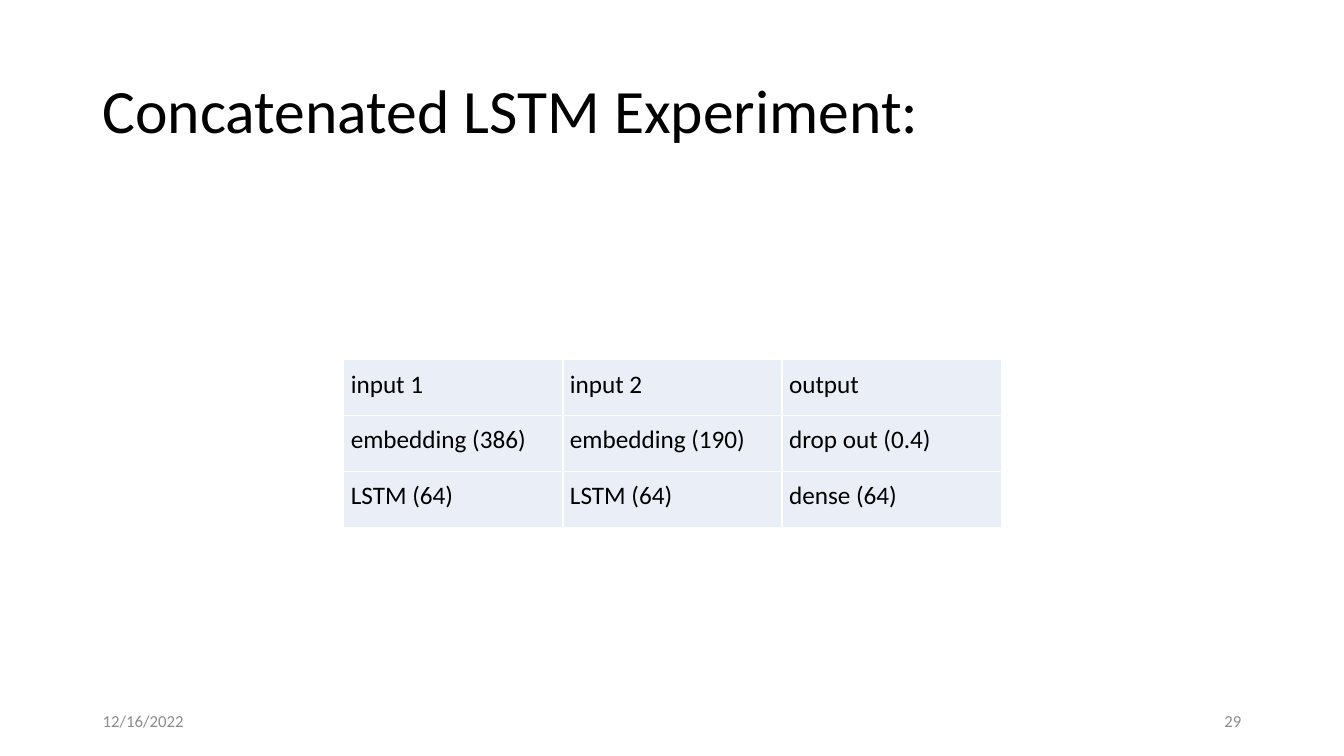
from lxml import etree
from pptx import Presentation
from pptx.dml.color import RGBColor
from pptx.enum.text import MSO_ANCHOR, PP_ALIGN
from pptx.oxml.ns import qn
from pptx.util import Inches, Pt

MIDDLE = MSO_ANCHOR.MIDDLE
LEFT, RIGHT = PP_ALIGN.LEFT, PP_ALIGN.RIGHT
FONT = "Calibri"
BLACK, GREY, WHITE, PALE_BLUE = "000000", "8C8C8C", "FFFFFF", "EAEFF7"


def style_paragraph(paragraph, size, color, spacing=1.0, align=LEFT):
    paragraph.font.name = FONT
    paragraph.font.size = Pt(size)
    paragraph.font.color.rgb = RGBColor.from_string(color)
    paragraph.line_spacing = spacing
    paragraph.alignment = align


presentation = Presentation()
presentation.slide_width = Inches(13.33)
presentation.slide_height = Inches(7.5)
slide = presentation.slides.add_slide(presentation.slide_layouts[6])

# Title, date and slide number
margin, footer_top, footer_width, footer_height = 0.92, 6.95, 3, 0.4
title_width = 13.33 - 2 * margin
number_left = margin + title_width - footer_width
texts = [
    ("Concatenated LSTM Experiment:", (margin, 0.4, title_width, 1.45),
     44, BLACK, 0.9, LEFT),
    ("12/16/2022", (margin, footer_top, footer_width, footer_height),
     12, GREY, 1.0, LEFT),
    ("29", (number_left, footer_top, footer_width, footer_height),
     12, GREY, 1.0, RIGHT),
]
for text, box, size, color, spacing, align in texts:
    shape = slide.shapes.add_textbox(*[Inches(length) for length in box])
    frame = shape.text_frame
    frame.word_wrap = True
    frame.vertical_anchor = MIDDLE
    frame.text = text
    style_paragraph(frame.paragraphs[0], size, color, spacing, align)

# Layer table
layers = [
    ("input 1", "input 2", "output"),
    ("embedding (386)", "embedding (190)", "drop out (0.4)"),
    ("LSTM (64)", "LSTM (64)", "dense (64)"),
]
table = slide.shapes.add_table(
    len(layers), len(layers[0]),
    Inches(3.41), Inches(3.57), Inches(6.52), Inches(1.66)).table
table.first_row = False
table.horz_banding = False

for row, names in enumerate(layers):
    for column, name in enumerate(names):
        cell = table.cell(row, column)
        cell.text = name
        cell.margin_left = cell.margin_right = Inches(0.07)
        cell.margin_top = cell.margin_bottom = Inches(0.07)
        style_paragraph(cell.text_frame.paragraphs[0], 18, BLACK, 1.07)

        # White borders come before the fill in the cell properties
        properties = cell._tc.get_or_add_tcPr()
        for side in ("a:lnL", "a:lnR", "a:lnT", "a:lnB"):
            border = etree.SubElement(properties, qn(side), w=str(Pt(1)))
            line_fill = etree.SubElement(border, qn("a:solidFill"))
            etree.SubElement(line_fill, qn("a:srgbClr"), val=WHITE)
        cell.fill.solid()
        cell.fill.fore_color.rgb = RGBColor.from_string(PALE_BLUE)

presentation.save("out.pptx")
